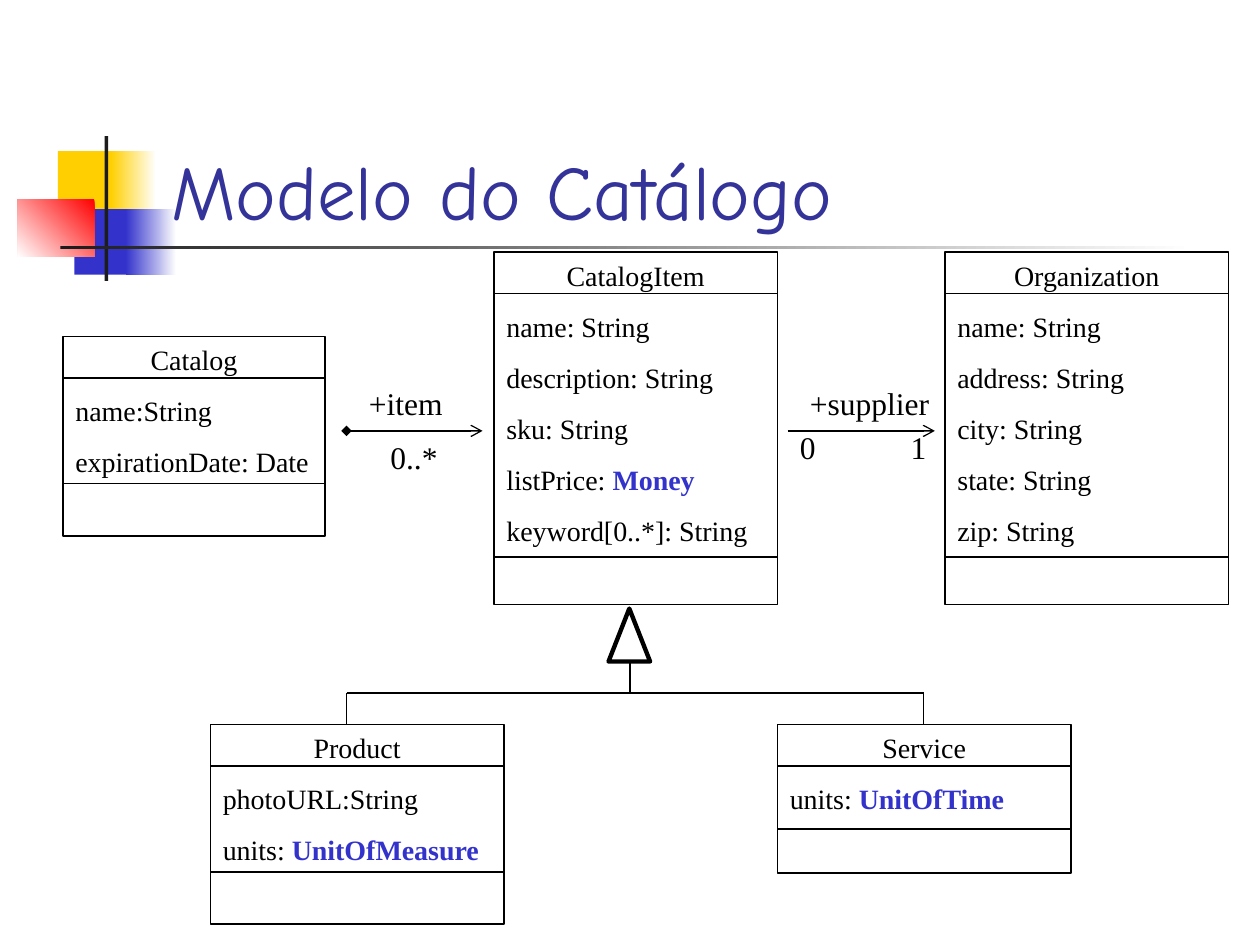
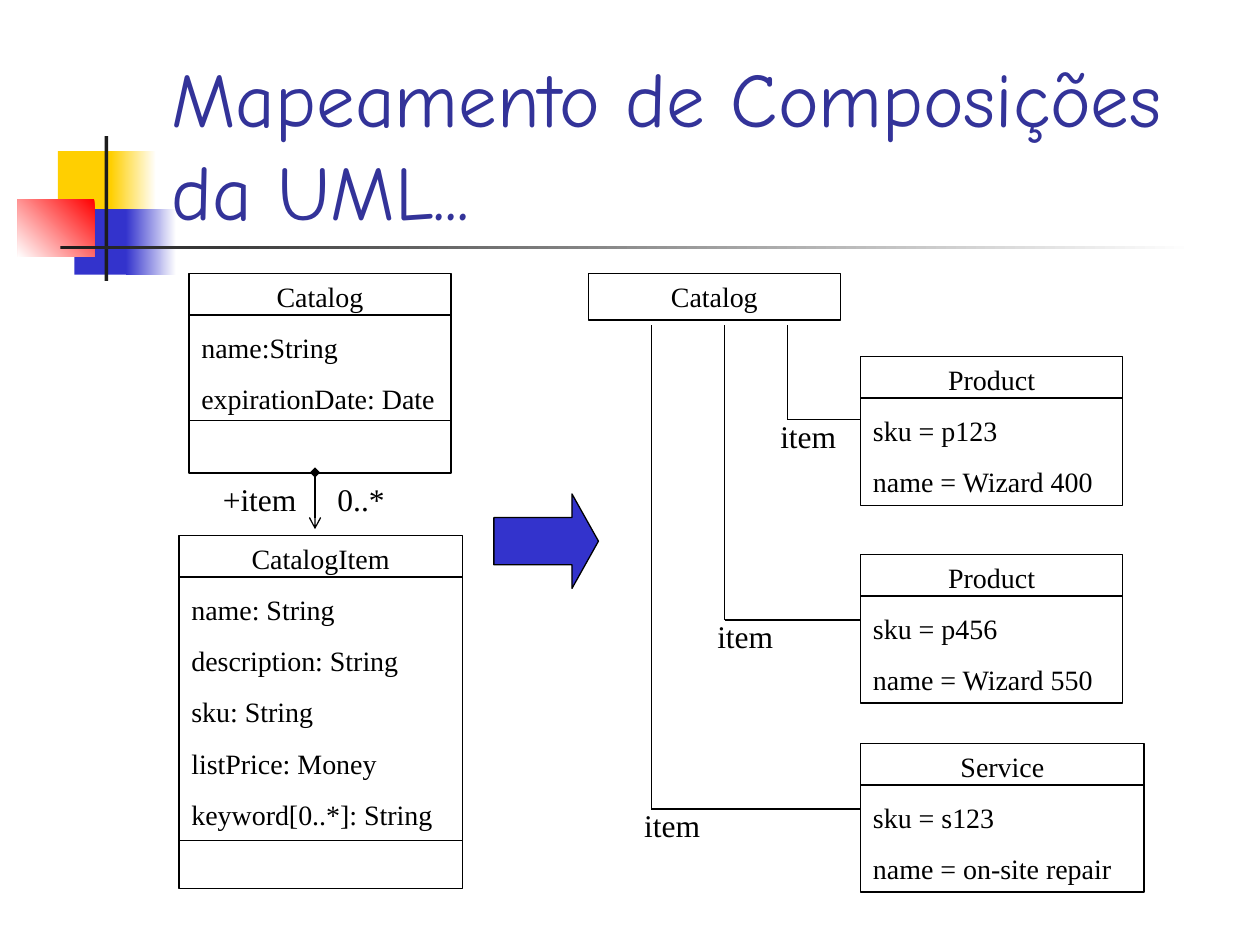
from lxml import etree
from pptx import Presentation
from pptx.dml.color import RGBColor
from pptx.enum.shapes import MSO_CONNECTOR, MSO_SHAPE
from pptx.enum.text import MSO_ANCHOR, MSO_AUTO_SIZE, PP_ALIGN
from pptx.oxml.ns import qn
from pptx.util import Inches, Pt

RECTANGLE = MSO_SHAPE.RECTANGLE
TRIANGLE = MSO_SHAPE.ISOSCELES_TRIANGLE
RIGHT_ARROW = MSO_SHAPE.RIGHT_ARROW
STRAIGHT = MSO_CONNECTOR.STRAIGHT
LEFT, CENTER = PP_ALIGN.LEFT, PP_ALIGN.CENTER

COLORS = {
    "black": "000000",
    "white": "FFFFFF",
    "ink": "1C1C1C",
    "title": "333399",
    "blue": "3333CC",
    "yellow": "FFCF01",
    "red": "FF0000",
}
TITLE_FONT = "Comic Neue"
BODY_FONT = "Times New Roman"
TITLE_AREA = (1.26, 0.67, 8.52, 1.25)

BANDS = [
    ((0.46, 1.2, 0.48, 0.52), "yellow", None),
    ((0.88, 1.2, 0.36, 0.52), "yellow", 0),
    ((0.59, 1.66, 0.46, 0.52), "blue", None),
    ((1, 1.66, 0.4, 0.52), "blue", 0),
    ((0.14, 1.58, 0.61, 0.46), "red", 225),
    ((0.83, 1.08, 0.03, 1.15), "ink", None),
    ((0.48, 1.95, 9, 0.03), "ink", 0),
]

CATALOG = ("Catalog", ["name:String", "expirationDate: Date"], 1.17)
ITEM_FIELDS = ["name: String", "description: String", "sku: String"]
KEYWORDS = "keyword[0..*]: String"
MODEL_CLASSES = [
    (0.5, 2.67, 2.08, *CATALOG),
    (3.92, 2, 2.25, "CatalogItem",
     [*ITEM_FIELDS, "listPrice: |Money", KEYWORDS], 2.42),
    (7.5, 2, 2.25, "Organization",
     ["name: String", "address: String", "city: String", "state: String",
      "zip: String"], 2.42),
    (1.67, 5.75, 2.33, "Product",
     ["photoURL:String", "units: |UnitOfMeasure"], 1.17),
    (6.17, 5.75, 2.33, "Service", ["units: |UnitOfTime"], 0.83),
]
MODEL_LABELS = [
    (2.83, 3, 0.83, "+item"),
    (6.33, 3, 1.33, "+supplier"),
    (3, 3.43, 0.83, "0..*"),
    (6.25, 3.35, 0.4, "0"),
    (7.13, 3.35, 0.4, "1"),
]
MODEL_ASSOCIATIONS = [
    ((2.75, 3.42), (3.83, 3.42), "diamond"),
    ((6.25, 3.42), (7.42, 3.42), None),
]
INHERITANCE = {"parent_x": 5, "child_x": (2.75, 7.33),
               "stem_top": 5.25, "bar": 5.5, "child_top": 5.75}

MAPPING_CLASSES = [
    (1.5, 2.17, 2.08, *CATALOG),
    (1.42, 4.25, 2.25, "CatalogItem",
     [*ITEM_FIELDS, "listPrice: Money", KEYWORDS], 2.42),
    (4.67, 2.17, 2, "Catalog", [], None),
    (6.83, 2.83, 2.08, "Product", ["sku = p123", "name = Wizard 400"], None),
    (6.83, 4.4, 2.08, "Product", ["sku = p456", "name = Wizard 550"], None),
    (6.83, 5.9, 2.25, "Service", ["sku = s123", "name = on-site repair"], None),
]
MAPPING_LABELS = [(1.67, 3.76, 0.83, "+item"), (2.58, 3.76, 0.83, "0..*")]
BRANCHES = [(6.25, 3.33), (5.75, 4.92), (5.17, 6.42)]
BRANCH_TOP, BRANCH_END = 2.58, 6.83

HEADER_HEIGHT = 0.33
NAME_HEIGHT = 0.37
ROW_HEIGHT = 0.405


def rgb(name):
    return RGBColor.from_string(COLORS[name])


def add_box(slide, kind, area, fill=None, line_width=None):
    shape = slide.shapes.add_shape(kind, *map(Inches, area))
    shape.shadow.inherit = False
    if fill:
        shape.fill.solid()
        shape.fill.fore_color.rgb = rgb(fill)
    else:
        shape.fill.background()
    if line_width:
        shape.line.color.rgb = rgb("black")
        shape.line.width = Pt(line_width)
    else:
        shape.line.fill.background()
    return shape


def add_line(slide, start, end, head=None, tail=None):
    connector = slide.shapes.add_connector(STRAIGHT, *map(Inches, (*start, *end)))
    connector.line.color.rgb = rgb("black")
    connector.line.width = Pt(0.75)
    outline = connector.line._get_or_add_ln()
    for tag, kind in (("a:headEnd", head), ("a:tailEnd", tail)):
        if kind:
            etree.SubElement(outline, qn(tag), type=kind)
    properties = connector.element.find(qn("p:spPr"))
    etree.SubElement(properties, qn("a:effectLst"))


def add_run(paragraph, text, size, color="black", font=BODY_FONT, bold=False):
    run = paragraph.add_run()
    run.text = text
    run.font.name = font
    run.font.size = Pt(size)
    run.font.bold = bold
    run.font.color.rgb = rgb(color)


def add_label(slide, left, top, width, text, align=LEFT):
    box = slide.shapes.add_textbox(*map(Inches, (left, top, width, 0.4)))
    box.text_frame.word_wrap = True
    paragraph = box.text_frame.paragraphs[0]
    paragraph.alignment = align
    paragraph.space_before = Pt(11.2)
    add_run(paragraph, text, 18)


def add_class(slide, left, top, width, name, fields, footer):
    rows = len(fields) + (footer is not None)
    height = NAME_HEIGHT + ROW_HEIGHT * rows
    shape = add_box(slide, RECTANGLE, (left, top, width, height), line_width=0.75)
    frame = shape.text_frame
    frame.word_wrap = True
    frame.vertical_anchor = MSO_ANCHOR.TOP
    for index, text in enumerate([name, *fields]):
        paragraph = frame.add_paragraph() if index else frame.paragraphs[0]
        paragraph.alignment = LEFT if index else CENTER
        paragraph.space_before = Pt(10)
        plain, _, type_name = text.partition("|")
        add_run(paragraph, plain, 16)
        if type_name:
            add_run(paragraph, type_name, 16, "blue", bold=True)
    dividers = [HEADER_HEIGHT] if fields else []
    if footer is not None:
        dividers.append(footer)
    for offset in dividers:
        add_line(slide, (left, top + offset), (left + width, top + offset))


def add_bands(slide, layout):
    for area, color, angle in BANDS:
        shape = add_box(slide, RECTANGLE, area, fill=color)
        if angle is not None:
            shape.fill.gradient()
            shape.fill.gradient_angle = angle
            for stop, name in zip(shape.fill.gradient_stops, (color, "white")):
                stop.color.rgb = rgb(name)
        layout.shapes.element.append(shape.element)


def add_slide(presentation, layout, title, classes, labels):
    slide = presentation.slides.add_slide(layout)
    holder = slide.shapes.title
    holder.left, holder.top, holder.width, holder.height = map(Inches, TITLE_AREA)
    frame = holder.text_frame
    frame.word_wrap = True
    frame.auto_size = MSO_AUTO_SIZE.NONE
    frame.vertical_anchor = MSO_ANCHOR.BOTTOM
    frame.paragraphs[0].alignment = LEFT
    add_run(frame.paragraphs[0], title, 44, "title", TITLE_FONT)
    for entry in classes:
        add_class(slide, *entry)
    for entry in labels:
        add_label(slide, *entry)
    return slide


def add_model(slide):
    for start, end, head in MODEL_ASSOCIATIONS:
        add_line(slide, start, end, head, "arrow")
    parent, children = INHERITANCE["parent_x"], INHERITANCE["child_x"]
    bar = INHERITANCE["bar"]
    add_line(slide, (children[0], bar), (children[-1], bar))
    add_line(slide, (parent, INHERITANCE["stem_top"]), (parent, bar))
    for child in children:
        add_line(slide, (child, bar), (child, INHERITANCE["child_top"]))
    add_box(slide, TRIANGLE, (4.83, 4.83, 0.33, 0.42), line_width=2.5)


def add_mapping(slide):
    add_line(slide, (2.5, 3.75), (2.5, 4.2), "diamond", "arrow")
    for left, bottom in BRANCHES:
        add_line(slide, (left, BRANCH_TOP), (left, bottom))
        add_line(slide, (left, bottom), (BRANCH_END, bottom))
        add_label(slide, left - 0.25, bottom - 0.07, 0.83, "item", CENTER)
    arrow = add_box(slide, RIGHT_ARROW, (3.92, 3.92, 0.83, 0.75), "blue", 0.75)
    arrow.adjustments[1] = 0.28


def main():
    presentation = Presentation()
    presentation.slide_width = Inches(10)
    presentation.slide_height = Inches(7.5)
    layout = presentation.slide_layouts.get_by_name("Title Only")
    model = add_slide(presentation, layout, "Modelo do Catálogo",
                      MODEL_CLASSES, MODEL_LABELS)
    add_bands(model, layout)
    add_model(model)
    mapping = add_slide(presentation, layout, "Mapeamento de Composições da UML...",
                        MAPPING_CLASSES, MAPPING_LABELS)
    add_mapping(mapping)
    presentation.save("out.pptx")


if __name__ == "__main__":
    main()
